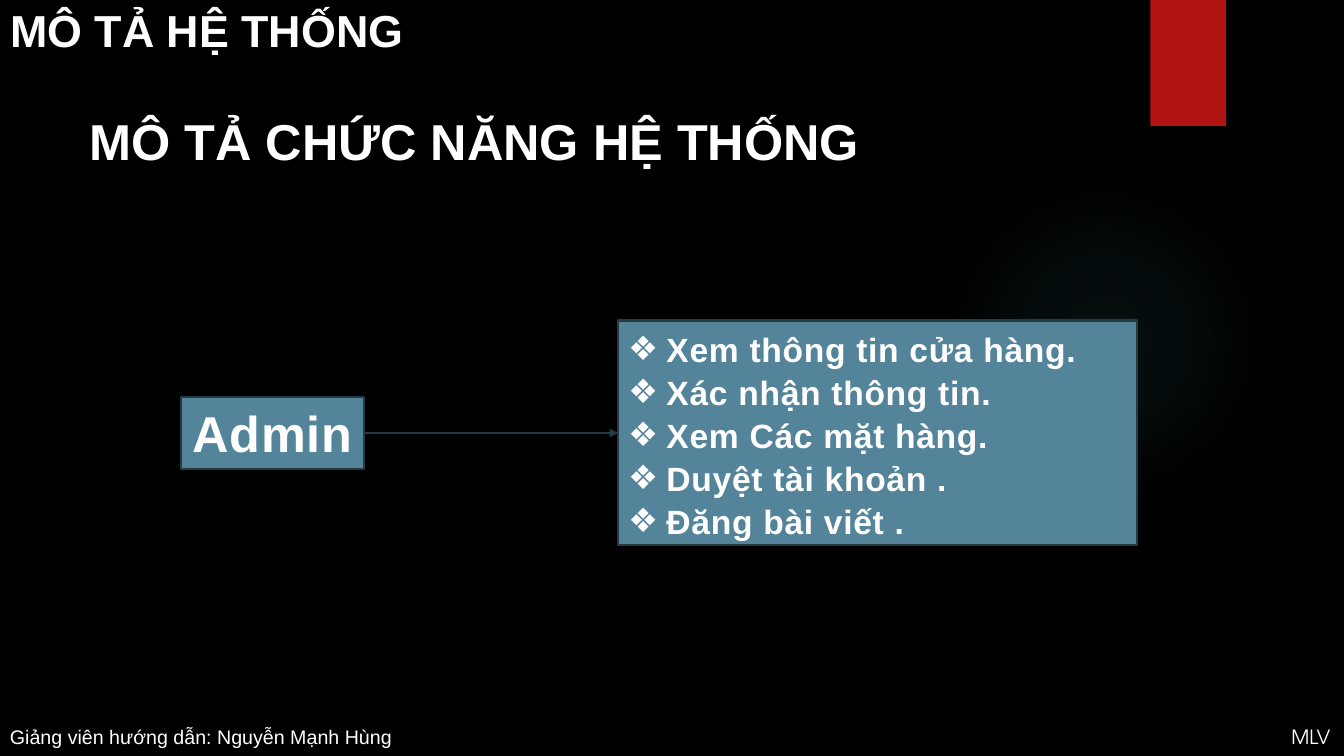
import lxml.etree
import pptx
import pptx.dml.color
import pptx.enum.shapes
import pptx.enum.text
import pptx.oxml
import pptx.oxml.ns
import pptx.util

COLOURS = {
    "background": "000000",
    "glow": "50B9C1",
    "accent": "B01513",
    "panel": "54849A",
    "border": "253A43",
    "white": "FFFFFF",
    "text": "FEFEFE",
}
ADMIN_TASKS = [
    "Xem thông tin cửa hàng.",
    "Xác nhận thông tin.",
    "Xem Các mặt hàng.",
    "Duyệt tài khoản .",
    "Đăng bài viết .",
]
NAMESPACE = 'xmlns:a="http://schemas.openxmlformats.org/drawingml/2006/main"'
SHAPES = pptx.enum.shapes.MSO_SHAPE
ALIGN = pptx.enum.text.PP_ALIGN
ANCHOR = pptx.enum.text.MSO_ANCHOR


def rgb(name):
    return pptx.dml.color.RGBColor.from_string(COLOURS[name])


def element(xml):
    return pptx.oxml.parse_xml(xml.replace(">", f" {NAMESPACE}>", 1))


def share(box, left, top, width, height):
    box_left, box_top, box_width, box_height = box
    return (
        int(box_left + box_width * left / 100),
        int(box_top + box_height * top / 100),
        int(box_width * width / 100),
        int(box_height * height / 100),
    )


def move(shape, box):
    shape.left, shape.top, shape.width, shape.height = box


def write(shape, lines, size, colour="white", bold=False, font="Arial",
          align=ALIGN.LEFT, anchor=ANCHOR.TOP, wrap=False):
    frame = shape.text_frame
    frame.text = "\n".join(lines)
    frame.auto_size = pptx.enum.text.MSO_AUTO_SIZE.NONE
    frame.word_wrap = wrap
    frame.vertical_anchor = anchor
    for para in frame.paragraphs:
        para.alignment = align
        for span in para.runs:
            span.font.size = pptx.util.Pt(size)
            span.font.name = font
            span.font.bold = bold
            span.font.color.rgb = rgb(colour)


def outline_text(shape):
    for para in shape.text_frame.paragraphs:
        for span in para.runs:
            properties = span.font._element
            properties.set("spc", "50")
            properties.insert(0, element(
                f'<a:ln w="9525"><a:solidFill><a:srgbClr val="{COLOURS["accent"]}"/>'
                "</a:solidFill></a:ln>"))
            fill = properties.find(pptx.oxml.ns.qn("a:solidFill"))
            fill.addnext(element(
                '<a:effectLst><a:outerShdw blurRad="38100" dist="25400" dir="2700000">'
                f'<a:srgbClr val="{COLOURS["accent"]}"><a:alpha val="60000"/></a:srgbClr>'
                "</a:outerShdw></a:effectLst>"))


def panel(shape):
    shape.fill.solid()
    shape.fill.fore_color.rgb = rgb("panel")
    shape.line.color.rgb = rgb("border")
    shape.line.width = pptx.util.Pt(1.5)


def add_backdrop(page, box):
    page.background.fill.solid()
    page.background.fill.fore_color.rgb = rgb("background")
    glow = page.shapes.add_shape(SHAPES.OVAL, *share(box, 70.59, 24.4, 23.11, 41.07))
    ribbon = page.shapes.add_shape(SHAPES.RECTANGLE, *share(box, 85.6, 0, 5.63, 16.67))
    for shape in (glow, ribbon):
        shape.shadow.inherit = False
        shape.line.fill.background()
    ribbon.fill.solid()
    ribbon.fill.fore_color.rgb = rgb("accent")
    stops = "".join(
        f'<a:gs pos="{position * 1000}"><a:srgbClr val="{COLOURS["glow"]}">'
        f'<a:alpha val="{opacity * 1000}"/></a:srgbClr></a:gs>'
        for position, opacity in ((0, 7), (36, 6), (69, 0), (100, 0)))
    geometry = glow._element.spPr.find(pptx.oxml.ns.qn("a:prstGeom"))
    geometry.addnext(element(
        f'<a:gradFill><a:gsLst>{stops}</a:gsLst><a:path path="circle">'
        '<a:fillToRect l="50000" t="50000" r="50000" b="50000"/></a:path></a:gradFill>'))


def add_headings(page, box):
    title = page.shapes.title
    move(title, share(box, 0, 0, 81.55, 8.13))
    write(title, ["MÔ TẢ HỆ THỐNG"], 32, "text", True, anchor=ANCHOR.BOTTOM, wrap=True)
    subtitle = page.shapes.add_textbox(*share(box, 5.93, 13.87, 59.34, 9.47))
    write(subtitle, ["MÔ TẢ CHỨC NĂNG HỆ THỐNG"], 36, bold=True)


def add_task_list(body, box):
    move(body, box)
    panel(body)
    write(body, ADMIN_TASKS, 24, "text", True, wrap=True)
    outline_text(body)
    indent = pptx.util.Inches(0.38)
    for para in body.text_frame.paragraphs:
        para.line_spacing = 1.07
        para.space_before = pptx.util.Pt(0)
        properties = para._p.get_or_add_pPr()
        properties.set("marL", str(indent))
        properties.set("indent", str(-indent))
        lxml.etree.SubElement(properties, pptx.oxml.ns.qn("a:buChar")).set("char", "❖")


def add_role_diagram(page, box):
    role = page.shapes.add_shape(SHAPES.RECTANGLE, *share(box, 0, 34.08, 19.09, 31.84))
    role.shadow.inherit = False
    panel(role)
    write(role, ["Admin"], 36, "text", True, align=ALIGN.CENTER)
    outline_text(role)

    tasks = page.placeholders[1]
    add_task_list(tasks, share(box, 45.68, 0, 54.32, 100))

    arrow = page.shapes.add_connector(
        pptx.enum.shapes.MSO_CONNECTOR.STRAIGHT, 0, 0, 0, 0)
    arrow.begin_connect(role, 3)
    arrow.end_connect(tasks, 1)
    arrow.line.color.rgb = rgb("border")
    arrow.line.width = pptx.util.Pt(1.5)
    arrow.line._get_or_add_ln().append(element('<a:tailEnd type="triangle"></a:tailEnd>'))
    arrow._element.spPr.append(element("<a:effectLst></a:effectLst>"))


def add_footer(page, box):
    lecturer = page.shapes.add_textbox(*share(box, 0, 0, 30.08, 100))
    write(lecturer, ["Giảng viên hướng dẫn: Nguyễn Mạnh Hùng"], 14)
    initials = page.shapes.add_textbox(*share(box, 95.35, 0, 4.65, 100))
    write(initials, ["MLV"], 14, font="TeX Gyre Adventor")


def main():
    deck = pptx.Presentation()
    deck.slide_width = pptx.util.Inches(13.33)
    deck.slide_height = pptx.util.Inches(7.5)
    page = deck.slides.add_slide(deck.slide_layouts[1])
    whole = (0, 0, deck.slide_width, deck.slide_height)
    add_backdrop(page, whole)
    add_headings(page, whole)
    add_role_diagram(page, share(whole, 13.5, 42.4, 71.12, 29.73))
    add_footer(page, share(whole, 0, 95.2, 100, 4.53))
    placeholders = [page.shapes.title, page.placeholders[1]]
    for placeholder in placeholders:
        page.shapes._spTree.append(placeholder._element)
    deck.save("out.pptx")


if __name__ == "__main__":
    main()
